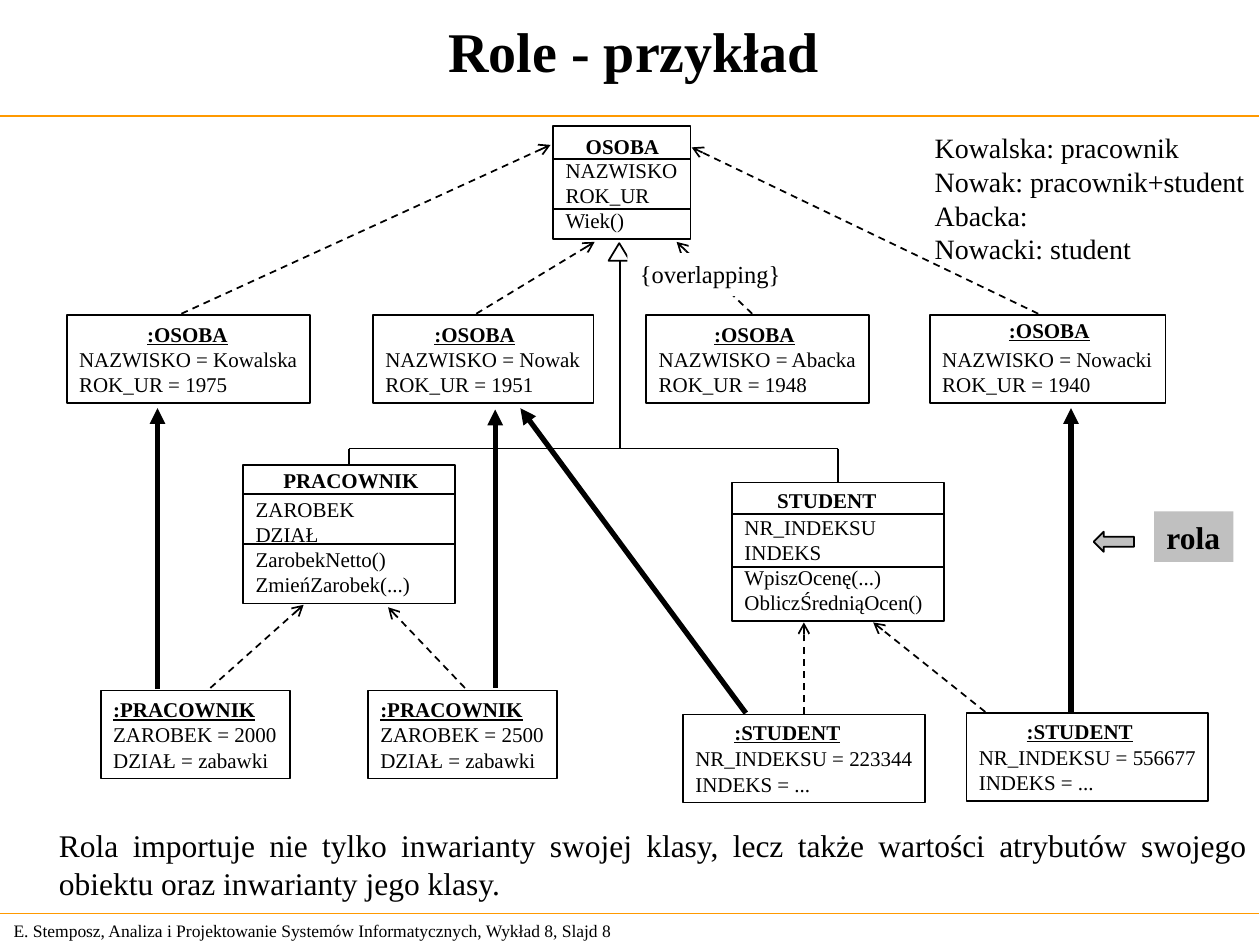
from dataclasses import dataclass

from lxml import etree
from pptx import Presentation
from pptx.dml.color import RGBColor
from pptx.enum.dml import MSO_LINE_DASH_STYLE as Dash
from pptx.enum.shapes import MSO_CONNECTOR as Connector, MSO_SHAPE as Shape
from pptx.enum.text import MSO_ANCHOR as Anchor, MSO_AUTO_SIZE as AutoSize, PP_ALIGN as Align
from pptx.oxml.ns import qn
from pptx.util import Inches, Pt


@dataclass(frozen=True)
class Theme:
    font: str = "Times New Roman"
    ink: str = "000000"
    paper: str = "FFFFFF"
    gray: str = "C0C0C0"
    rule: str = "FF9900"
    title: int = 32
    large: int = 18
    medium: int = 16
    note: int = 14
    body: int = 12
    footer: int = 10
    thin: float = 1
    thick: float = 3
    hairline: float = 0.75


THEME = Theme()
HEADING_SPACE = 0.25

CLASSES = {
    "OSOBA": ((4.39, 1, 1.09, 0.9), (4.55, 1.01, 0.78, 0.3), (0.26, 0.66),
              ["NAZWISKO", "ROK_UR", "Wiek()"]),
    "PRACOWNIK": ((1.93, 3.69, 1.68, 1.1), (2.15, 3.66, 1.27, 0.3), (0.23, 0.63),
                  ["ZAROBEK", "DZIAŁ", "ZarobekNetto()", "ZmieńZarobek(...)"]),
    "STUDENT": ((5.81, 3.83, 1.68, 1.1), (6.07, 3.82, 0.99, 0.3), (0.25, 0.67),
                ["NR_INDEKSU", "INDEKS", "WpiszOcenę(...)", "ObliczŚredniąOcen()"]),
}

PERSONS = [
    ("Kowalska", 1975, 0.53, 1.93, 1.07, 2.5),
    ("Nowak", 1951, 2.96, 1.75, 3.35, 2.5),
    ("Abacka", 1948, 5.13, 1.77, 5.57, 2.5),
    ("Nowacki", 1940, 7.38, 1.87, 7.91, 2.47),
]
EMPLOYEES = [(2000, 0.8), (2500, 2.92)]
STUDENTS = [(223344, 5.42, 5.67, 5.73, 5.66), (556677, 7.67, 5.66, 8.05, 5.65)]

INSTANCE_ARROWS = [
    (1.44, 2.49, 4.37, 1.15),
    (3.78, 2.49, 4.72, 1.92),
    (5.97, 2.49, 5.37, 1.92),
    (8.24, 2.49, 5.49, 1.17),
    (1.67, 5.46, 2.41, 4.8),
    (3.69, 5.46, 3.08, 4.82),
    (7.82, 5.65, 6.93, 4.94),
]
ROLE_ARROWS = [
    (3.93, 5.46, 3.93, 3.25),
    (1.25, 5.47, 1.25, 3.24),
    (8.5, 5.66, 8.5, 3.24),
    (5.92, 5.66, 4.13, 3.24),
]
BRANCH_Y = 3.56
BRANCH_X = (2.77, 6.65)
ROOT_X = 4.92

ROLES = ["Kowalska: pracownik", "Nowak: pracownik+student", "Abacka:", "Nowacki: student"]
SUMMARY = ("Rola importuje nie tylko inwarianty swojej klasy, lecz także wartości atrybutów "
           "swojego obiektu oraz inwarianty jego klasy.")
FOOTER = "E. Stemposz, Analiza i Projektowanie Systemów Informatycznych, Wykład 8, Slajd 8"

presentation = Presentation()
presentation.slide_width, presentation.slide_height = Inches(10), Inches(7.5)
slide = presentation.slides.add_slide(presentation.slide_layouts[6])


def color(value):
    return RGBColor.from_string(value)


def write(shape, lines, size, bold=False, underline=False, wrap=False,
          align=Align.LEFT, anchor=Anchor.TOP, top=0.05):
    frame = shape.text_frame
    frame.word_wrap = wrap
    frame.auto_size = AutoSize.SHAPE_TO_FIT_TEXT
    frame.vertical_anchor = anchor
    frame.margin_top = Inches(top)
    if not wrap:
        frame.margin_right = 0
    for index, line in enumerate(lines):
        paragraph = frame.add_paragraph() if index else frame.paragraphs[0]
        paragraph.alignment = align
        run = paragraph.add_run()
        run.text = line
        font = run.font
        font.name, font.size, font.bold = THEME.font, Pt(size), bold
        font.underline = underline
        font.color.rgb = color(THEME.ink)


def add_text(place, lines, size, **style):
    write(slide.shapes.add_textbox(*map(Inches, place)), lines, size, **style)


def add_box(place, kind=Shape.RECTANGLE, fill=None, outlined=True):
    shape = slide.shapes.add_shape(kind, *map(Inches, place))
    shape.shadow.inherit = False
    if fill:
        shape.fill.solid()
        shape.fill.fore_color.rgb = color(fill)
    else:
        shape.fill.background()
    if outlined:
        shape.line.color.rgb = color(THEME.ink)
        shape.line.width = Pt(THEME.thin)
    else:
        shape.line.fill.background()
    return shape


def add_line(ends, width=THEME.thin, ink=THEME.ink, dashed=False, arrow=None):
    line = slide.shapes.add_connector(Connector.STRAIGHT, *map(Inches, ends))
    line.line.color.rgb = color(ink)
    line.line.width = Pt(width)
    if dashed:
        line.line.dash_style = Dash.DASH
    if arrow:
        etree.SubElement(line.line._get_or_add_ln(), qn("a:tailEnd"), type=arrow)
    etree.SubElement(line._element.spPr, qn("a:effectLst"))
    return line


def add_heading(place, name, underline=False):
    add_text(place, [name], THEME.body, bold=True, underline=underline)


add_text((0.01, 7.25, 5.24, 0.27), [FOOTER], THEME.footer, wrap=True, anchor=Anchor.MIDDLE)
for y in (0.92, 7.25):
    add_line((-0.01, y, 9.99, y), THEME.hairline, THEME.rule)
add_text((0.07, -0.03, 9.92, 0.85), ["Role - przykład"], THEME.title, bold=True, wrap=True,
         align=Align.CENTER, anchor=Anchor.MIDDLE)

class_boxes = {}
for name, (place, heading, dividers, members) in CLASSES.items():
    left, top, width, height = place
    box = add_box(place, fill=THEME.paper if name == "OSOBA" else None)
    write(box, members, THEME.body, wrap=name != "OSOBA", top=HEADING_SPACE)
    class_boxes[name] = box
    for offset in dividers:
        add_line((left, top + offset, left + width, top + offset))
    add_heading(heading, name)

for name, year, left, width, heading_left, heading_top in PERSONS:
    box = add_box((left, 2.5, width, 0.7), Shape.ROUNDED_RECTANGLE)
    box.adjustments[0] = 0
    write(box, [f"NAZWISKO = {name}", f"ROK_UR = {year}"], THEME.body, top=HEADING_SPACE)
    add_heading((heading_left, heading_top, 0.84, 0.3), ":OSOBA", underline=True)

for salary, left in EMPLOYEES:
    box = add_box((left, 5.48, 1.5, 0.7))
    write(box, [f"ZAROBEK = {salary}", "DZIAŁ = zabawki"], THEME.body, top=HEADING_SPACE)
    add_heading((left, 5.48, 1.34, 0.3), ":PRACOWNIK", underline=True)

student_boxes = []
for number, left, top, heading_left, heading_top in STUDENTS:
    box = add_box((left, top, 1.92, 0.7))
    write(box, [f"NR_INDEKSU = {number}", "INDEKS = ..."], THEME.body, top=HEADING_SPACE)
    student_boxes.append(box)
    add_heading((heading_left, heading_top, 1.04, 0.3), ":STUDENT", underline=True)

for ends in INSTANCE_ARROWS:
    add_line(ends, dashed=True, arrow="arrow")
student_arrow = add_line((6.38, 5.67, 6.38, 4.94), dashed=True, arrow="arrow")
student_arrow.begin_connect(student_boxes[0], 0)
for ends in ROLE_ARROWS:
    add_line(ends, THEME.thick, arrow="triangle")

add_box((4.83, 1.93, 0.17, 0.14), Shape.ISOSCELES_TRIANGLE, THEME.paper)
add_line((ROOT_X, 2.07, ROOT_X, BRANCH_Y))
add_line((BRANCH_X[0], BRANCH_Y, BRANCH_X[1], BRANCH_Y))
for x, name in zip(BRANCH_X, ("PRACOWNIK", "STUDENT")):
    branch = add_line((x, BRANCH_Y, x, CLASSES[name][0][1]))
    branch.end_connect(class_boxes[name], 0)

add_text((7.32, 0.99, 2.68, 1.16), ROLES, THEME.medium, wrap=True)
add_text((0.37, 6.51, 9.63, 0.7), [SUMMARY], THEME.large, wrap=True, align=Align.JUSTIFY)
write(add_box((9.16, 4.06, 0.63, 0.4), fill=THEME.gray, outlined=False),
      ["rola"], THEME.large, bold=True)
add_box((8.68, 4.22, 0.32, 0.16), Shape.LEFT_ARROW, THEME.gray)
write(add_box((4.98, 2.01, 1.32, 0.34), fill=THEME.paper, outlined=False),
      ["{overlapping}"], THEME.note)

presentation.save("out.pptx")
